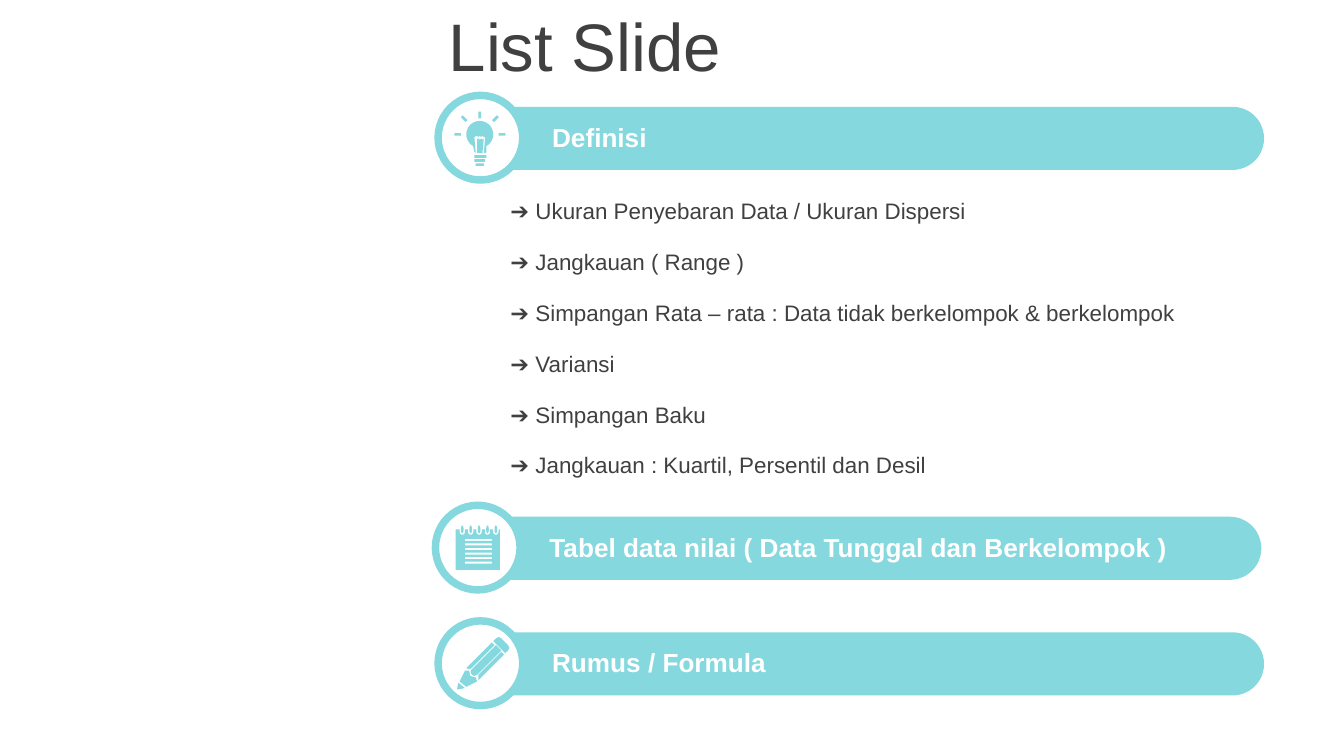
"""Build a list slide with three banners, their icons and a list of topics."""
from dataclasses import dataclass
from math import cos, radians, sin

from pptx import Presentation
from pptx.dml.color import RGBColor
from pptx.enum.shapes import MSO_SHAPE
from pptx.enum.text import MSO_ANCHOR, MSO_AUTO_SIZE
from pptx.util import Inches, Pt


@dataclass(frozen=True)
class Theme:
    font: str = "Arial"
    accent: RGBColor = RGBColor(0x85, 0xD8, 0xDE)
    white: RGBColor = RGBColor(0xFF, 0xFF, 0xFF)
    dark: RGBColor = RGBColor(0x40, 0x40, 0x40)
    title_size: int = 36
    banner_size: int = 14
    topic_size: int = 12
    ring_width: int = 4


theme = Theme()


def add_text(shapes, text, *, left, top, width, height, size, color, bold=False, grow=True):
    box = shapes.add_textbox(Inches(left), Inches(top), Inches(width), Inches(height))
    frame = box.text_frame
    frame.word_wrap = True
    frame.vertical_anchor = MSO_ANCHOR.MIDDLE
    frame.auto_size = MSO_AUTO_SIZE.SHAPE_TO_FIT_TEXT if grow else MSO_AUTO_SIZE.NONE
    span = frame.paragraphs[0].add_run()
    span.text = text
    span.font.name = theme.font
    span.font.size = Pt(size)
    span.font.bold = bold
    span.font.color.rgb = color


def bar_outline(left, top, right, bottom):
    return [(left, top), (right, top), (right, bottom), (left, bottom)]


deck = Presentation()
deck.slide_width = Inches(10)
deck.slide_height = Inches(10 * 9 / 16)
page = deck.slides.add_slide(deck.slide_layouts[6])

add_text(page.shapes, "List Slide", left=3.24, top=0.02, width=6.56, height=0.63,
         size=theme.title_size, color=theme.dark, grow=False)

banners = [
    ("Definisi", 3.26, 0.71),
    ("Tabel data nilai ( Data Tunggal dan Berkelompok )", 3.24, 3.76),
    ("Rumus / Formula", 3.26, 4.62),
]
for label, left, top in banners:
    group = page.shapes.add_group_shape()
    bar = group.shapes.add_shape(MSO_SHAPE.ROUND_2_SAME_RECTANGLE, Inches(left + 3),
                                 Inches(top - 2.59), Inches(0.47), Inches(5.82))
    bar.rotation = 90
    bar.adjustments[0] = 0.5
    bar.shadow.inherit = False
    bar.fill.solid()
    bar.fill.fore_color.rgb = theme.accent
    bar.line.fill.background()
    ring = group.shapes.add_shape(MSO_SHAPE.OVAL, Inches(left), Inches(top),
                                  Inches(0.63), Inches(0.63))
    ring.shadow.inherit = False
    ring.fill.solid()
    ring.fill.fore_color.rgb = theme.white
    ring.line.color.rgb = theme.accent
    ring.line.width = Pt(theme.ring_width)
    add_text(group.shapes, label, left=left + 0.75, top=top + 0.14, width=5.2, height=0.34,
             size=theme.banner_size, color=theme.white, bold=True)

topics = [
    "Ukuran Penyebaran Data / Ukuran Dispersi",
    "Jangkauan ( Range )",
    "Simpangan Rata – rata : Data tidak berkelompok & berkelompok",
    "Variansi",
    "Simpangan Baku",
    "Jangkauan : Kuartil, Persentil dan Desil",
]
topic_gap = (3.31 - 1.42) / (len(topics) - 1)
for index, topic in enumerate(topics):
    add_text(page.shapes, f"➔ {topic}", left=3.7, top=1.42 + index * topic_gap,
             width=5.24, height=0.3, size=theme.topic_size, color=theme.dark)

ring_centers = [3.44 + index * 0.25 / 4 for index in range(5)]
notebook_edge = [(3.39, 3.94)]
for center in ring_centers:
    notebook_edge += [(center - 0.02, 3.94)]
    notebook_edge += [(center - 0.02 * cos(radians(turn)), 3.96 + 0.02 * sin(radians(turn)))
                      for turn in range(0, 181, 30)]
    notebook_edge += [(center + 0.02, 3.94)]
notebook_edge += [(3.72, 3.94), (3.72, 4.24), (3.39, 4.24)]
line_gap = (4.18 - 4.01) / 5
notebook = [notebook_edge]
notebook += [bar_outline(3.46, 4.01 + row * line_gap, 3.66, 4.01 + (row + 0.45) * line_gap)
             for row in range(6)]
notebook += [[(center + 0.01 * cos(radians(turn)), 3.94 + 0.03 * sin(radians(turn)))
              for turn in range(0, 360, 30)] for center in ring_centers]

bulb_glass = [(3.57 + 0.1 * cos(radians(turn)), 1 + 0.1 * sin(radians(turn)))
              for turn in range(60, -241, -10)]
bulb_glass += [(3.53, 1.13), (3.54, 1.14), (3.61, 1.14), (3.62, 1.13)]
filament = [(3.54, 1.14), (3.53, 1.02)]
for tooth in (3.55, 3.57, 3.59):
    filament += [(tooth, 1.01), (tooth + 0.01, 1.02)]
filament += [(3.61, 1.02), (3.6, 1.14), (3.59, 1.14), (3.6, 1.03)]
for tooth in (3.59, 3.57, 3.56):
    filament += [(tooth, 1.04), (tooth - 0.01, 1.03)]
filament += [(3.55, 1.14)]
bulb = [bulb_glass, filament]
for row, (left, right) in enumerate([(3.53, 3.62), (3.53, 3.61), (3.54, 3.6)]):
    base_top = 1.155 + row * 0.03
    bulb.append(bar_outline(left, base_top, right, base_top + 0.02))
for angle, inner in [(180, 0.14), (225, 0.14), (270, 0.12), (315, 0.14), (0, 0.14)]:
    across, down = cos(radians(angle)), sin(radians(angle))
    bulb.append([(3.57 + reach * across - side * down, 1 + reach * down + side * across)
                 for reach, side in bar_outline(inner, -0.01, inner + 0.05, 0.01)])

pencil = [
    [(3.41, 5.08), (3.46, 5.12), (3.4, 5.13)],
    [(3.46, 4.99), (3.49, 4.99), (3.5, 5.03), (3.54, 5.04), (3.55, 5.07), (3.47, 5.11),
     (3.42, 5.07)],
    [(3.73, 4.85), (3.75, 4.87), (3.56, 5.06), (3.56, 5.02)],
    [(3.69, 4.8), (3.73, 4.84), (3.55, 5.02), (3.53, 5.03), (3.51, 5.02), (3.5, 5),
     (3.51, 4.98)],
    [(3.66, 4.78), (3.68, 4.8), (3.51, 4.97), (3.49, 4.98), (3.47, 4.97)],
    [(3.71, 4.74), (3.73, 4.75), (3.78, 4.8), (3.79, 4.82), (3.78, 4.84), (3.76, 4.86),
     (3.67, 4.77), (3.69, 4.75)],
]

for outlines in (notebook, bulb, pencil):
    contours = [[(Inches(x), Inches(y)) for x, y in outline] for outline in outlines]
    builder = page.shapes.build_freeform(*contours[0][0])
    for contour in contours:
        if contour is not contours[0]:
            builder.move_to(*contour[0])
        builder.add_line_segments(contour[1:], close=True)
    icon = builder.convert_to_shape()
    icon.shadow.inherit = False
    icon.fill.solid()
    icon.fill.fore_color.rgb = theme.accent
    icon.line.fill.background()

deck.save("out.pptx")
